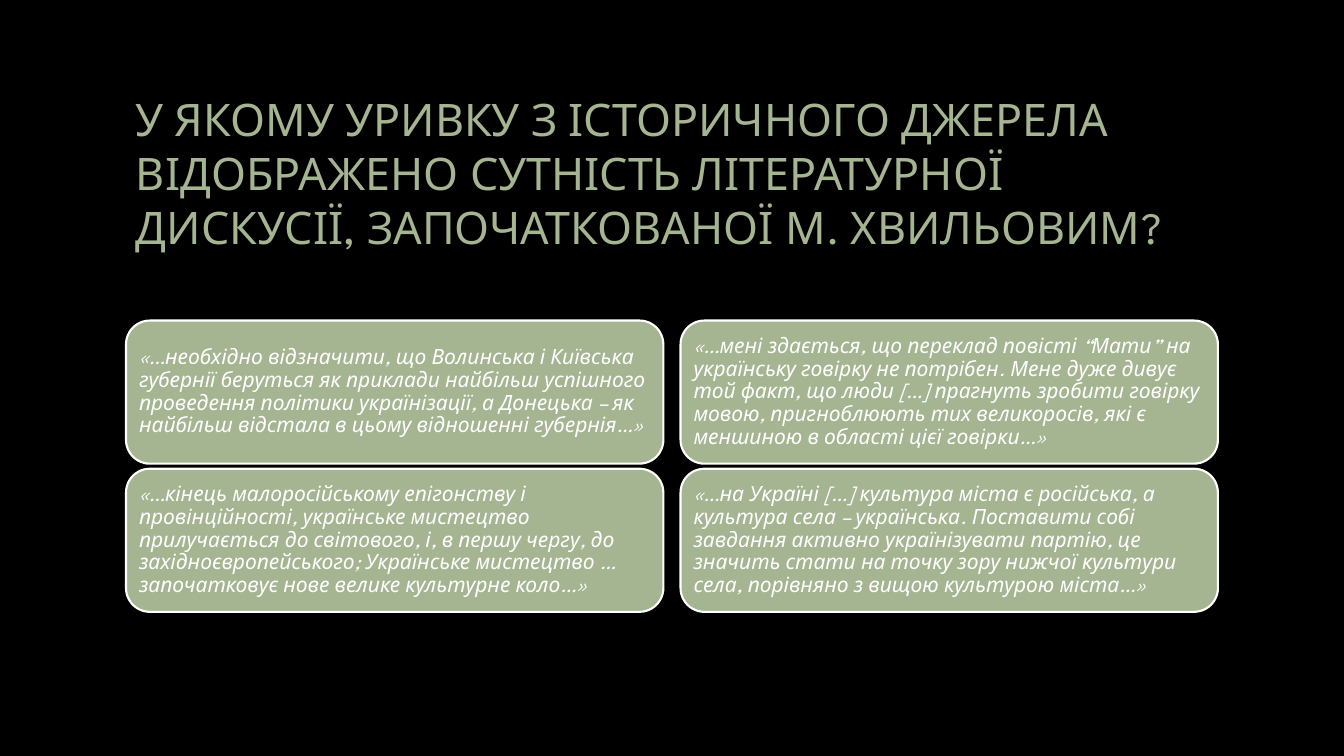
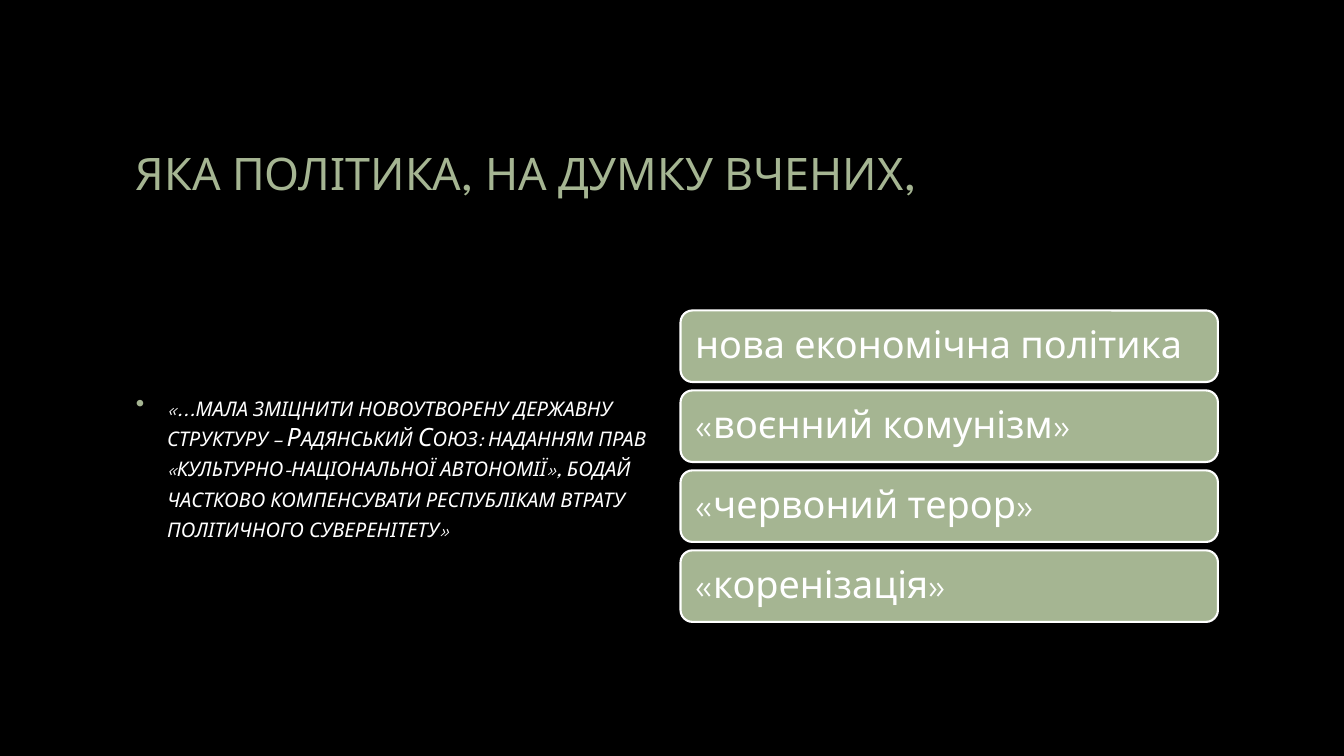
from dataclasses import dataclass

from lxml.etree import SubElement
from pptx import Presentation
from pptx.dml.color import RGBColor
from pptx.enum.shapes import MSO_SHAPE
from pptx.enum.text import MSO_ANCHOR, PP_ALIGN
from pptx.oxml.ns import qn
from pptx.slide import Slide
from pptx.text.text import TextFrame
from pptx.util import Inches, Pt

BLACK = RGBColor(0x00, 0x00, 0x00)
WHITE = RGBColor(0xFF, 0xFF, 0xFF)
SAGE = RGBColor(0xA5, 0xB5, 0x92)
FONT = "League Spartan"

LEFT_COLUMN = 1.25
RIGHT_COLUMN = 6.75
COLUMN_WIDTH = 5.33
CONTENT_WIDTH = RIGHT_COLUMN + COLUMN_WIDTH - LEFT_COLUMN


@dataclass(frozen=True)
class CardStyle:
    height: float
    margin: float
    size: int
    italic: bool


@dataclass(frozen=True)
class CardColumn:
    left: float
    top: float
    bottom: float
    texts: tuple[str, ...]


QUOTE_CARD = CardStyle(height=1.42, margin=0.06, size=15, italic=True)
ANSWER_CARD = CardStyle(height=0.71, margin=0.11, size=27, italic=False)

QUOTE_COLUMNS = (
    CardColumn(LEFT_COLUMN, 3.18, 6.07, (
        "«…необхідно відзначити, що Волинська і Київська губернії беруться як "
        "приклади найбільш успішного проведення політики українізації, а Донецька "
        "– як найбільш відстала в цьому відношенні губернія…»",
        "«…кінець малоросійському епігонству і провінційності, українське мистецтво "
        "прилучається до світового, і, в першу чергу, до західноєвропейського; "
        "Українське мистецтво … започатковує нове велике культурне коло…»",
    )),
    CardColumn(RIGHT_COLUMN, 3.18, 6.07, (
        "«…мені здається, що переклад повісті “Мати” на українську говірку не "
        "потрібен. Мене дуже дивує той факт, що люди […] прагнуть зробити говірку "
        "мовою, пригноблюють тих великоросів, які є меншиною в області цієї говірки…»",
        "«…на Україні […] культура міста є російська, а культура села – українська. "
        "Поставити собі завдання активно українізувати партію, це значить стати на "
        "точку зору нижчої культури села, порівняно з вищою культурою міста…»",
    )),
)

ANSWER_COLUMN = CardColumn(RIGHT_COLUMN, 3.08, 6.17, (
    "нова економічна політика",
    "«воєнний комунізм»",
    "«червоний терор»",
    "«коренізація»",
))

POLICY_QUOTE = (
    "«...мала зміцнити новоутворену державну структуру – Радянський Союз: наданням "
    "прав «культурно-національної автономії», бодай частково компенсувати "
    "республікам втрату політичного суверенітету»"
)


def write_text(frame: TextFrame, text: str, size: int, color: RGBColor,
               italic: bool = False) -> None:
    frame.word_wrap = True
    frame.vertical_anchor = MSO_ANCHOR.MIDDLE
    frame.text = text
    para = frame.paragraphs[0]
    para.alignment = PP_ALIGN.LEFT
    font = para.runs[0].font
    font.name = FONT
    font.size = Pt(size)
    font.italic = italic
    font.color.rgb = color


def add_text(page: Slide, left: float, top: float, width: float,
             height: float) -> TextFrame:
    box = page.shapes.add_textbox(
        Inches(left), Inches(top), Inches(width), Inches(height))
    return box.text_frame


def add_page(deck: Presentation, title: str) -> Slide:
    page = deck.slides.add_slide(deck.slide_layouts[6])
    page.background.fill.solid()
    page.background.fill.fore_color.rgb = BLACK
    frame = add_text(page, LEFT_COLUMN, 0.67, CONTENT_WIDTH, 2.08)
    write_text(frame, title, 32, SAGE)
    return page


def add_card(page: Slide, left: float, top: float, text: str,
             style: CardStyle) -> None:
    card = page.shapes.add_shape(
        MSO_SHAPE.ROUNDED_RECTANGLE, Inches(left), Inches(top),
        Inches(COLUMN_WIDTH), Inches(style.height))
    card.shadow.inherit = False
    card.fill.solid()
    card.fill.fore_color.rgb = SAGE
    card.line.color.rgb = WHITE
    card.line.width = Pt(1.5)
    frame = card.text_frame
    frame.margin_left = frame.margin_right = Inches(style.margin)
    frame.margin_top = frame.margin_bottom = Inches(style.margin)
    write_text(frame, text, style.size, WHITE, style.italic)
    frame.paragraphs[0].line_spacing = 0.9


def add_card_column(page: Slide, column: CardColumn, style: CardStyle) -> None:
    step = (column.bottom - column.top - style.height) / (len(column.texts) - 1)
    for row, text in enumerate(column.texts):
        add_card(page, column.left, column.top + row * step, text, style)


def add_bulleted_quote(page: Slide, text: str) -> None:
    frame = add_text(page, LEFT_COLUMN, 2.92, COLUMN_WIDTH, 3.42)
    write_text(frame, text, 18, WHITE, italic=True)
    para = frame.paragraphs[0]
    properties = para._p.get_or_add_pPr()
    properties.set("marL", str(Inches(0.31)))
    properties.set("indent", str(Inches(-0.31)))
    bullet_color = SubElement(properties, qn("a:buClr"))
    SubElement(bullet_color, qn("a:srgbClr")).set("val", str(SAGE))
    SubElement(properties, qn("a:buChar")).set("char", "•")
    para.runs[0]._r.get_or_add_rPr().set("cap", "small")


def main() -> None:
    deck = Presentation()
    deck.slide_width = Inches(13.33)
    deck.slide_height = Inches(7.5)

    page = add_page(
        deck,
        "У ЯКОМУ УРИВКУ З ІСТОРИЧНОГО ДЖЕРЕЛА ВІДОБРАЖЕНО СУТНІСТЬ "
        "ЛІТЕРАТУРНОЇ ДИСКУСІЇ, ЗАПОЧАТКОВАНОЇ М. ХВИЛЬОВИМ?")
    for column in QUOTE_COLUMNS:
        add_card_column(page, column, QUOTE_CARD)

    page = add_page(deck, "ЯКА ПОЛІТИКА, НА ДУМКУ ВЧЕНИХ,")
    add_bulleted_quote(page, POLICY_QUOTE)
    add_card_column(page, ANSWER_COLUMN, ANSWER_CARD)

    deck.save("out.pptx")


if __name__ == "__main__":
    main()
